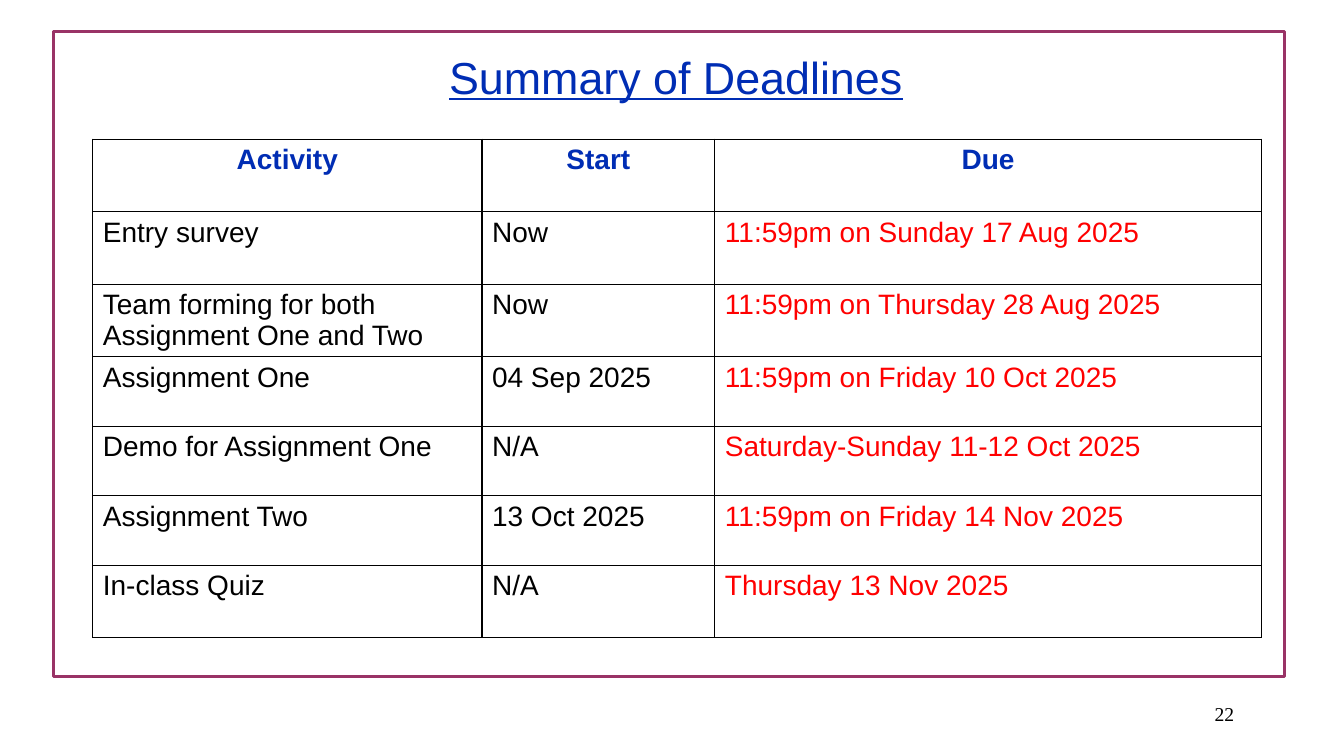
"""Build the slide that summarises the course deadlines."""
from lxml import etree
from pptx import Presentation
from pptx.dml.color import RGBColor
from pptx.enum.shapes import MSO_SHAPE
from pptx.enum.text import MSO_ANCHOR, PP_ALIGN
from pptx.oxml.ns import qn
from pptx.util import Pt

LEFT, CENTER, RIGHT = PP_ALIGN.LEFT, PP_ALIGN.CENTER, PP_ALIGN.RIGHT
MIDDLE = MSO_ANCHOR.MIDDLE
RECTANGLE = MSO_SHAPE.RECTANGLE

TITLE = "Summary of Deadlines"
PAGE_NUMBER = "22"
HEADINGS = ("Activity", "Start", "Due")
DEADLINES = [
    ("Entry survey", "Now", "11:59pm on Sunday 17 Aug 2025"),
    ("Team forming for both Assignment One and Two", "Now", "11:59pm on Thursday 28 Aug 2025"),
    ("Assignment One", "04 Sep 2025", "11:59pm on Friday 10 Oct 2025"),
    ("Demo for Assignment One", "N/A", "Saturday-Sunday 11-12 Oct 2025"),
    ("Assignment Two", "13 Oct 2025", "11:59pm on Friday 14 Nov 2025"),
    ("In-class Quiz", "N/A", "Thursday 13 Nov 2025"),
]
COLORS = {"heading": "002DB4", "text": "000000", "due": "FF0000", "frame": "993366"}

EMU_PER_PX = 9144
SLIDE_SIZE = (1333, 750)
FRAME_BOX = (53, 31, 1221, 640)
TITLE_BOX = (104, 30, 1133, 91)
NUMBER_BOX = (956, 683, 278, 50)
TABLE_CORNER = (92, 138)
COLUMN_WIDTHS = (386, 231, 542)
ROW_HEIGHTS = (72, 72, 72, 69, 69, 69, 72)
BORDER_WIDTH = Pt(0.96)


def px(*lengths):
    """Turn px lengths into EMU."""
    return [length * EMU_PER_PX for length in lengths]


def write(text_frame, text, size, color, align=LEFT, font_name="Arial", bold=False):
    """Put one formatted paragraph in a text frame and return it."""
    text_frame.text = text
    text_frame.word_wrap = True
    paragraph = text_frame.paragraphs[0]
    paragraph.alignment = align
    font = paragraph.font
    font.name, font.size, font.bold = font_name, Pt(size), bold
    font.color.rgb = RGBColor.from_string(COLORS[color])
    return paragraph


def add_borders(cell):
    """Draw a thin line on all four sides of a cell."""
    properties = cell._tc.get_or_add_tcPr()
    for index, side in enumerate(("a:lnL", "a:lnR", "a:lnT", "a:lnB")):
        line = etree.Element(qn(side), w=str(BORDER_WIDTH))
        fill = etree.SubElement(line, qn("a:solidFill"))
        etree.SubElement(fill, qn("a:srgbClr"), val=COLORS["text"])
        properties.insert(index, line)


def add_frame(slide):
    """Draw the outline behind the content."""
    frame = slide.shapes.add_shape(RECTANGLE, *px(*FRAME_BOX))
    frame.shadow.inherit = False
    frame.fill.background()
    frame.line.color.rgb = RGBColor.from_string(COLORS["frame"])
    frame.line.width = Pt(2)
    slide.shapes._spTree.insert(2, frame._element)


def add_title(slide):
    """Move and fill the title placeholder."""
    title = slide.shapes.title
    title.left, title.top, title.width, title.height = px(*TITLE_BOX)
    title.text_frame.vertical_anchor = MIDDLE
    write(title.text_frame, TITLE, 32, "heading", CENTER).font.underline = True


def add_deadlines(slide):
    """Add the table of activities."""
    rows = [HEADINGS, *DEADLINES]
    table_size = (sum(COLUMN_WIDTHS), sum(ROW_HEIGHTS))
    table = slide.shapes.add_table(
        len(rows), len(HEADINGS), *px(*TABLE_CORNER, *table_size)).table
    table.first_row = table.horz_banding = False
    for column, width in zip(table.columns, px(*COLUMN_WIDTHS)):
        column.width = width
    for row, height in zip(table.rows, px(*ROW_HEIGHTS)):
        row.height = height
    for row_index, texts in enumerate(rows):
        for column_index, text in enumerate(texts):
            cell = table.cell(row_index, column_index)
            cell.fill.background()
            add_borders(cell)
            if row_index == 0:
                write(cell.text_frame, text, 20, "heading", CENTER, bold=True)
            else:
                color = "due" if HEADINGS[column_index] == "Due" else "text"
                write(cell.text_frame, text, 20, color)


def add_page_number(slide):
    """Add the page number below the frame."""
    text_frame = slide.shapes.add_textbox(*px(*NUMBER_BOX)).text_frame
    text_frame.vertical_anchor = MIDDLE
    write(text_frame, PAGE_NUMBER, 14, "text", RIGHT, "Times New Roman")


def main():
    """Assemble and save the presentation."""
    presentation = Presentation()
    presentation.slide_width, presentation.slide_height = px(*SLIDE_SIZE)
    slide = presentation.slides.add_slide(presentation.slide_layouts[5])
    add_frame(slide)
    add_title(slide)
    add_deadlines(slide)
    add_page_number(slide)
    presentation.save("out.pptx")


if __name__ == "__main__":
    main()
